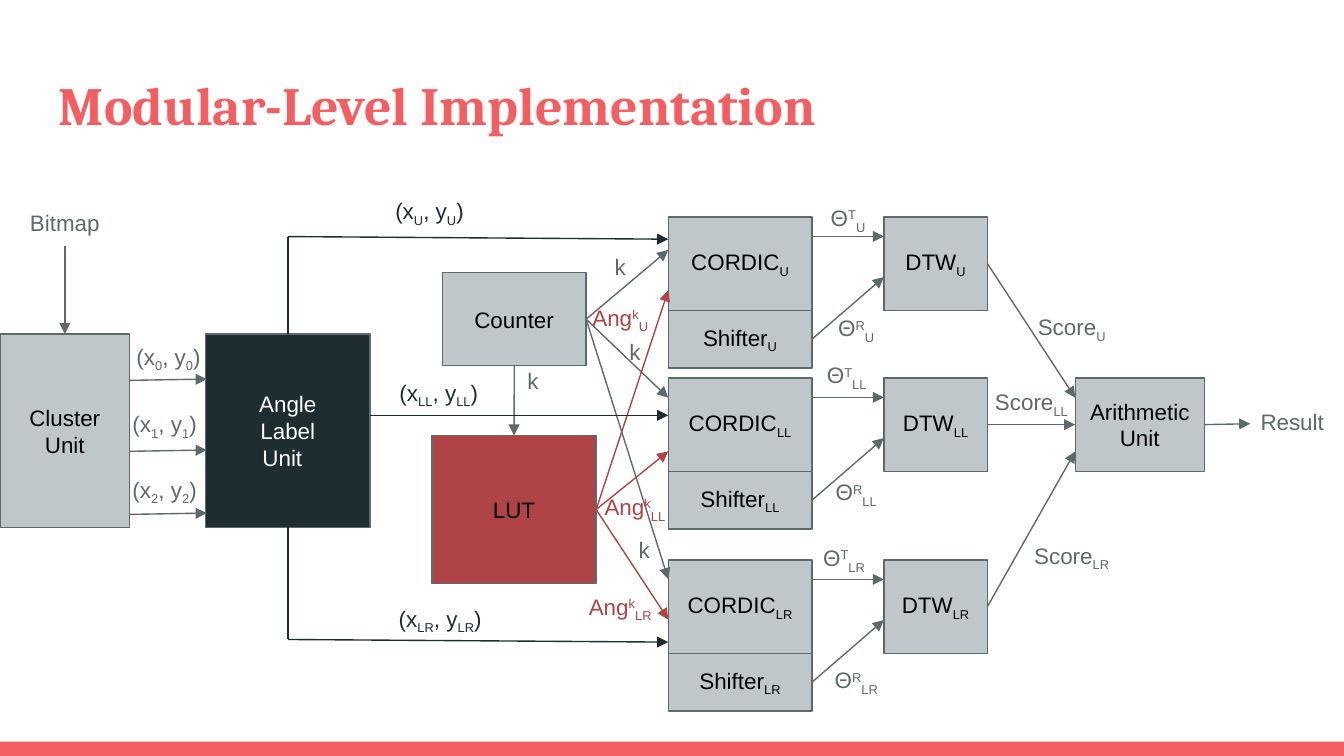
from lxml import etree
from pptx import Presentation
from pptx import util as u
from pptx.dml.color import RGBColor
from pptx.enum import shapes, text
from pptx.oxml import ns

CORAL = RGBColor(0xF5, 0x5E, 0x61)
RED = RGBColor(0xAF, 0x43, 0x45)
SILVER = RGBColor(0xBF, 0xC7, 0xCA)
SLATE = RGBColor(0x5E, 0x69, 0x6C)
NAVY = RGBColor(0x1E, 0x2D, 0x31)
BLACK = RGBColor(0, 0, 0)
WHITE = RGBColor(255, 255, 255)

TOP, LEFT, BOTTOM, RIGHT = range(4)
BASELINES = {"_": "-25000", "^": "30000"}
LANES = ("U", "LL", "LR")


def write(shape, lines, color, size=12, font="Arial", bold=False, align=text.PP_ALIGN.CENTER):
    """Fill a shape with lines whose runs are split by |; _ marks a subscript, ^ a superscript."""
    frame = shape.text_frame
    frame.word_wrap = True
    frame.margin_left = frame.margin_right = frame.margin_top = frame.margin_bottom = u.Pt(7.2)
    for number, line in enumerate(lines.split("\n")):
        paragraph = frame.add_paragraph() if number else frame.paragraphs[0]
        paragraph.alignment = align
        for part in line.split("|"):
            run = paragraph.add_run()
            run.text = part.lstrip("_^")
            run.font.size, run.font.name, run.font.bold = u.Pt(size), font, bold
            run.font.color.rgb = color
            if part[0] in BASELINES:
                run.font._element.set("baseline", BASELINES[part[0]])


def add_label(slide, box, lines, color=SLATE):
    label = slide.shapes.add_textbox(*map(u.Pt, box))
    write(label, lines, color)
    return label


def add_block(slide, box, lines, fill=SILVER, color=BLACK):
    block = slide.shapes.add_shape(shapes.MSO_SHAPE.RECTANGLE, *map(u.Pt, box))
    block.shadow.inherit = False
    block.fill.solid()
    block.fill.fore_color.rgb = fill
    block.line.color.rgb = SLATE
    block.line.width = u.Pt(0.75)
    block.text_frame.vertical_anchor = text.MSO_ANCHOR.MIDDLE
    write(block, lines, color)
    return block


def add_line(slide, start, end, color=SLATE, arrow=True):
    """Draw a line between two ends, each an (x, y) point or a (shape, side) joint."""
    points = [(0, 0) if hasattr(end_[0], "shape_id") else end_ for end_ in (start, end)]
    line = slide.shapes.add_connector(
        shapes.MSO_CONNECTOR.STRAIGHT, *(u.Pt(value) for point in points for value in point))
    if hasattr(start[0], "shape_id"):
        line.begin_connect(*start)
    if hasattr(end[0], "shape_id"):
        line.end_connect(*end)
    line.line.color.rgb = color
    line.line.width = u.Pt(0.75)
    if arrow:
        etree.SubElement(line.line._get_or_add_ln(), ns.qn("a:tailEnd"), type="triangle")
    etree.SubElement(line._element.spPr, ns.qn("a:effectLst"))


def add_title(slide, box):
    title = slide.shapes.add_textbox(*map(u.Pt, box))
    title.text_frame.vertical_anchor = text.MSO_ANCHOR.MIDDLE
    write(title, "Modular-Level Implementation", CORAL, 28.8, "Cambria", True, text.PP_ALIGN.LEFT)


def add_footer_bar(slide, box):
    bar = slide.shapes.add_shape(shapes.MSO_SHAPE.RECTANGLE, *map(u.Pt, box))
    bar.shadow.inherit = False
    bar.fill.solid()
    bar.fill.fore_color.rgb = CORAL
    bar.line.fill.background()


def add_input_stage(slide, left, top):
    """Bitmap, cluster unit and angle label unit; returns the last."""
    width, height, angle_left = 69.5, 103.5, left + 110.25
    cluster = add_block(slide, (left, top, width, height), "Cluster\nUnit")
    angle = add_block(slide, (angle_left, top, 88, height), "Angle\nLabel\nUnit", NAVY, WHITE)
    unit = angle.text_frame.paragraphs[2]
    unit.alignment = text.PP_ALIGN.LEFT
    unit._p.get_or_add_pPr().set("marL", str(u.Pt(23.3)))

    bitmap = add_label(slide, (left, top - 74, width, 27), "Bitmap")
    add_line(slide, (bitmap, BOTTOM), (cluster, TOP))
    for index, (x, y, arrow_y) in enumerate(((62.6, -2.5, 24.8), (60.5, 33.5, 62.8), (60.5, 68.8, 96.6))):
        add_label(slide, (left + x, top + y, 55.4, 22.3), f"(x|_{index}|, y|_{index}|)")
        add_line(slide, (left + width, top + arrow_y), (angle_left + 0.5, top + arrow_y - 0.7))
    return angle


def add_control(slide, left, top):
    """Counter above the look-up table; returns both."""
    counter = add_block(slide, (left + 5.6, top, 77, 50), "Counter")
    lut = add_block(slide, (left, top + 87.3, 88, 79.4), "LUT", RED)
    add_line(slide, (counter, BOTTOM), (lut, TOP))
    add_label(slide, (left + 40.8, top + 43.4, 26.6, 26.6), "k")
    return counter, lut


def add_lane(slide, left, top, name, target_at, rotated_at):
    """CORDIC, shifter and DTW of one lane, with its two angle labels; returns the DTW."""
    width, height, dtw_left = 77, 50, left + 115.5
    add_block(slide, (left, top, width, height), f"CORDIC|_{name}")
    shifter = add_block(slide, (left, top + height, width, 31), f"Shifter|_{name}")
    dtw = add_block(slide, (dtw_left, top, 55.5, height), f"DTW|_{name}")
    add_line(slide, (left + width, top + 10.4), (dtw_left, top + 10.4))
    add_line(slide, (shifter, RIGHT), (dtw_left, top + 32.2))
    for sign, (x, y) in (("T", target_at), ("R", rotated_at)):
        add_label(slide, (left + x, top + y, 41.8, 18), f"Θ|^{sign}|_{name}")
    return dtw


def add_lane_inputs(slide, left, tops, counter, lut):
    """Fan the counter and the table out to the left sides of the lanes."""
    fans = (
        (counter, "k", SLATE, (26.6, 26.6), (17.7, 10.6, 10.3),
         ((-39, 12), (-31.1, -28.3), (-26.1, -19.9))),
        (lut, "Ang|^k", RED, (55.4, 22.3), (39.3, 39.3, 31.9),
         ((-53.4, 39.3), (-45.5, 54.5), (-53.4, 10.3))),
    )
    for source, word, color, size, entries, places in fans:
        for name, top, entry, (x, y) in zip(LANES, tops, entries, places):
            add_line(slide, (source, RIGHT), (left, top + entry), color)
            label = word if source is counter else f"{word}|_{name}"
            add_label(slide, (left + x, top + y, *size), label, color)


def add_coordinate_paths(slide, left, tops, angle):
    """Lead the angle label unit's three coordinate pairs to the lanes."""
    corner_x = (angle.left + angle.width / 2) / u.Pt(1)
    entries = [top + offset for top, offset in zip(tops, (11.9, 20, 44))]
    for side, entry in ((TOP, entries[0]), (BOTTOM, entries[2])):
        corner = (corner_x, entry - 1.4)
        add_line(slide, (angle, side), corner, NAVY, arrow=False)
        add_line(slide, corner, (left, entry), NAVY)
    add_line(slide, ((angle.left + angle.width) / u.Pt(1), entries[1]), (left, entries[1]), NAVY)
    for name, top, (x, y) in zip(LANES, tops, ((-157.8, -17.6), (-152.8, -6.7), (-152.1, 16.8))):
        add_label(slide, (left + x, top + y, 59.8, 18), f"(x|_{name}|, y|_{name}|)", NAVY)


def add_scoring(slide, left, top, dtws):
    """Arithmetic unit, the scores that enter it and the result."""
    arithmetic = add_block(slide, (left, top, 69.2, 50), "Arithmetic Unit")
    ends = ((left, top + 10.6), (arithmetic, LEFT), (left, top + 39.4))
    places = ((-29.5, -41.9), (-51.1, -1.6), (-29.5, 80.5))
    for name, dtw, end, (x, y) in zip(LANES, dtws, ends, places):
        add_line(slide, (dtw, RIGHT), end)
        add_label(slide, (left + x, top + y, 55.4, 20.9), f"Score|_{name}")
    add_line(slide, (arithmetic, RIGHT), (left + 93.8, top + 24.5))
    add_label(slide, (left + 88.6, top + 9.2, 55.4, 22.3), "Result")


def main():
    presentation = Presentation()
    presentation.slide_width, presentation.slide_height = u.Pt(720), u.Pt(405)
    slide = presentation.slides.add_slide(presentation.slide_layouts[6])

    add_footer_bar(slide, (0, 397.3, 720, 7.7))
    add_title(slide, (24.5, 31, 671, 49))
    angle = add_input_stage(slide, 0, 179)
    counter, lut = add_control(slide, 231.4, 146)

    lane_left, lane_tops = 358, (116.25, 202.5, 300)
    target_places = ((75.4, -14), (74.7, -16), (73.3, -15.6))
    rotated_places = ((79.8, 45), (79.8, 46.6), (79.8, 49.9))
    dtws = [add_lane(slide, lane_left, top, name, target_at, rotated_at)
            for name, top, target_at, rotated_at
            in zip(LANES, lane_tops, target_places, rotated_places)]
    add_lane_inputs(slide, lane_left, lane_tops, counter, lut)
    add_coordinate_paths(slide, lane_left, lane_tops, angle)
    add_scoring(slide, 576, lane_tops[1], dtws)
    presentation.save("out.pptx")


if __name__ == "__main__":
    main()
